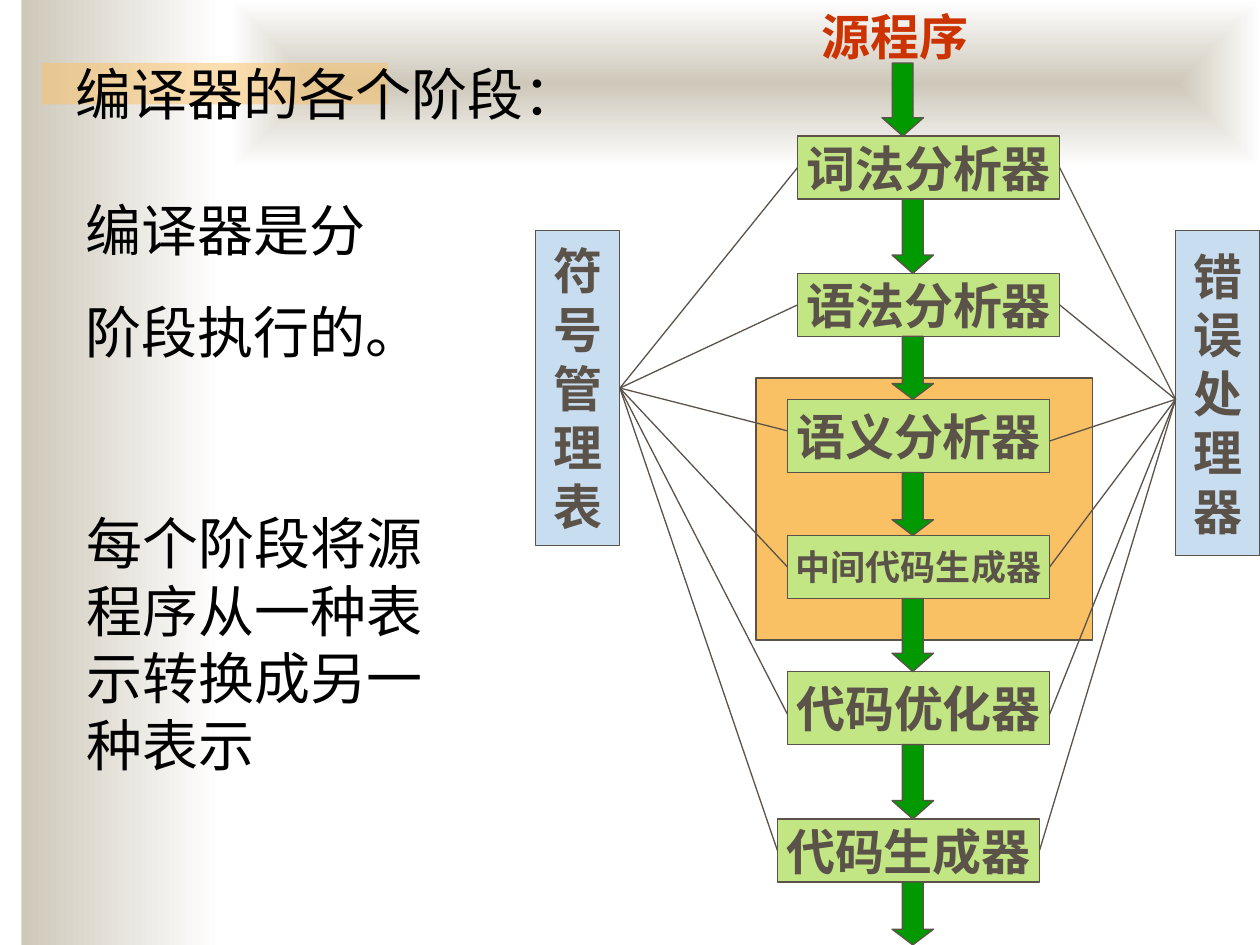
from pptx import Presentation
from pptx import util as u
from pptx.dml.color import RGBColor
from pptx.enum import shapes, text
from pptx.oxml.ns import qn
from lxml import etree

FONT = "Times New Roman"
INK, SAND, WHITE = "5B5249", "CEC8BA", "FFFFFF"
GREEN, BLUE, ORANGE, ARROW = "C3E684", "C9DDF1", "FAC164", "009900"


def rgb(code):
    return RGBColor.from_string(code)


def write(frame, lines, size=28, color=INK, bold=False, align=None, gap=0):
    """Fill a text frame, one paragraph per line."""
    for i, line in enumerate(lines):
        para = frame.paragraphs[0] if i == 0 else frame.add_paragraph()
        if i and gap:
            para.space_before = u.Pt(gap)
        if align is not None:
            para.alignment = align
        run = para.add_run()
        run.text = line
        font = run.font
        font.name, font.size, font.bold = FONT, u.Pt(size), bold
        font.color.rgb = rgb(color)


class Canvas:
    def __init__(self, slide):
        self.slide = slide

    def stroke(self, line):
        line.color.rgb = rgb(INK)
        line.width = u.Pt(0.75)

    def shape(self, kind, box, fill=None, edge=True):
        item = self.slide.shapes.add_shape(kind, *map(u.Inches, box))
        item.shadow.inherit = False
        if fill:
            item.fill.solid()
            item.fill.fore_color.rgb = rgb(fill)
        if edge:
            self.stroke(item.line)
        else:
            item.line.fill.background()
        return item

    def rect(self, box, fill=None, edge=True):
        return self.shape(shapes.MSO_SHAPE.RECTANGLE, box, fill, edge)

    def fade(self, box, center=False):
        """Borderless sand-to-white gradient, linear or from the center."""
        item = self.rect(box, edge=False)
        item.fill.gradient()
        item.fill.gradient_angle = 0
        for stop, code in zip(item.fill.gradient_stops, (SAND, WHITE)):
            stop.color.rgb = rgb(code)
        if center:
            grad = item._element.spPr.find(qn("a:gradFill"))
            lin = grad.find(qn("a:lin"))
            shade = etree.Element(qn("a:path"), path="rect")
            etree.SubElement(shade, qn("a:fillToRect"),
                             {side: "50000" for side in "ltrb"})
            grad.replace(lin, shade)

    def tint(self, box, fill, alpha):
        item = self.rect(box, fill, edge=False)
        color = item._element.spPr.find(qn("a:solidFill"))[0]
        etree.SubElement(color, qn("a:alpha"), val=str(alpha * 1000))

    def label(self, box, lines, fill, size=28):
        frame = self.rect(box, fill).text_frame
        frame.word_wrap = False
        frame.vertical_anchor = text.MSO_ANCHOR.MIDDLE
        write(frame, lines, size=size, bold=True, align=text.PP_ALIGN.CENTER)

    def note(self, box, lines, **style):
        frame = self.slide.shapes.add_textbox(*map(u.Inches, box)).text_frame
        frame.word_wrap = True
        frame.auto_size = text.MSO_AUTO_SIZE.SHAPE_TO_FIT_TEXT
        write(frame, lines, **style)

    def arrow(self, left, top, end):
        width, head = 0.33, 0.146 if end - top > 0.55 else 0.125
        item = self.shape(shapes.MSO_SHAPE.DOWN_ARROW,
                          (left, top, width, end - top), ARROW)
        item.adjustments[0] = 0.5
        item.adjustments[1] = head / width

    def link(self, start, end):
        item = self.slide.shapes.add_connector(
            shapes.MSO_CONNECTOR.STRAIGHT, *map(u.Inches, start + end))
        self.stroke(item.line)
        etree.SubElement(item._element.spPr, qn("a:effectLst"))


def main():
    deck = Presentation()
    deck.slide_width, deck.slide_height = u.Inches(10), u.Inches(7.5)
    page = Canvas(deck.slides.add_slide(deck.slide_layouts[6]))

    # Backdrop
    page.fade((0.17, 0, 1.58, 7.5))
    page.fade((1.83, 0, 8.17, 1.33), center=True)
    page.tint((0.33, 0.5, 2.75, 0.33), ORANGE, 50)
    page.rect((6, 3, 2.67, 2.08), ORANGE)

    # Title and notes
    body = dict(size=32, color="000000", gap=20)
    page.note((0.5, 0.42, 8, 0.64), ["编译器的各个阶段："], **body)
    page.note((0.58, 1.5, 3, 1.45), ["编译器是分", "阶段执行的。"], **body)
    page.note((0.59, 3.99, 3.15, 2.24),
              ["每个阶段将源程序从一种表示转换成另一种表示"], **body)
    page.note((6.42, 0, 1.75, 0.57), ["源程序"], color="CC3300", bold=True)

    # Side tables
    page.label((9.33, 1.83, 0.67, 2.58), "错误处理器", BLUE)
    page.label((4.25, 1.83, 0.67, 2.5), "符号管理表", BLUE)

    # Phases: name, left, top, height, text size, link heights left and right
    width = 2.08
    phases = [
        ("词法分析器", 6.33, 1.08, 0.5, 28, 1.33, 1.33),
        ("语法分析器", 6.33, 2.17, 0.5, 28, 2.42, 2.42),
        ("语义分析器", 6.25, 3.17, 0.58, 28, 3.42, 3.5),
        ("中间代码生成器", 6.25, 4.25, 0.5, 20, 4.5, 4.5),
        ("代码优化器", 6.25, 5.33, 0.58, 28, 5.67, 5.67),
        ("代码生成器", 6.17, 6.5, 0.5, 28, 6.75, 6.75),
    ]
    for name, left, top, high, size, *_ in phases:
        page.label((left, top, width, high), [name], GREEN, size)

    # Flow arrows, each from one phase down to the next
    page.arrow(7, 0.5, phases[0][2])
    ends = [phase[2] for phase in phases[1:]] + [7.5]
    for (_, _, top, high, *_), end in zip(phases, ends):
        page.arrow(7.08, top + high, end)

    # Links from every phase to both side tables
    for _, left, _, _, _, west, east in phases:
        page.link((left, west), (4.92, 3.08))
        page.link((left + width, east), (9.33, 3.17))

    deck.save("out.pptx")


if __name__ == "__main__":
    main()
